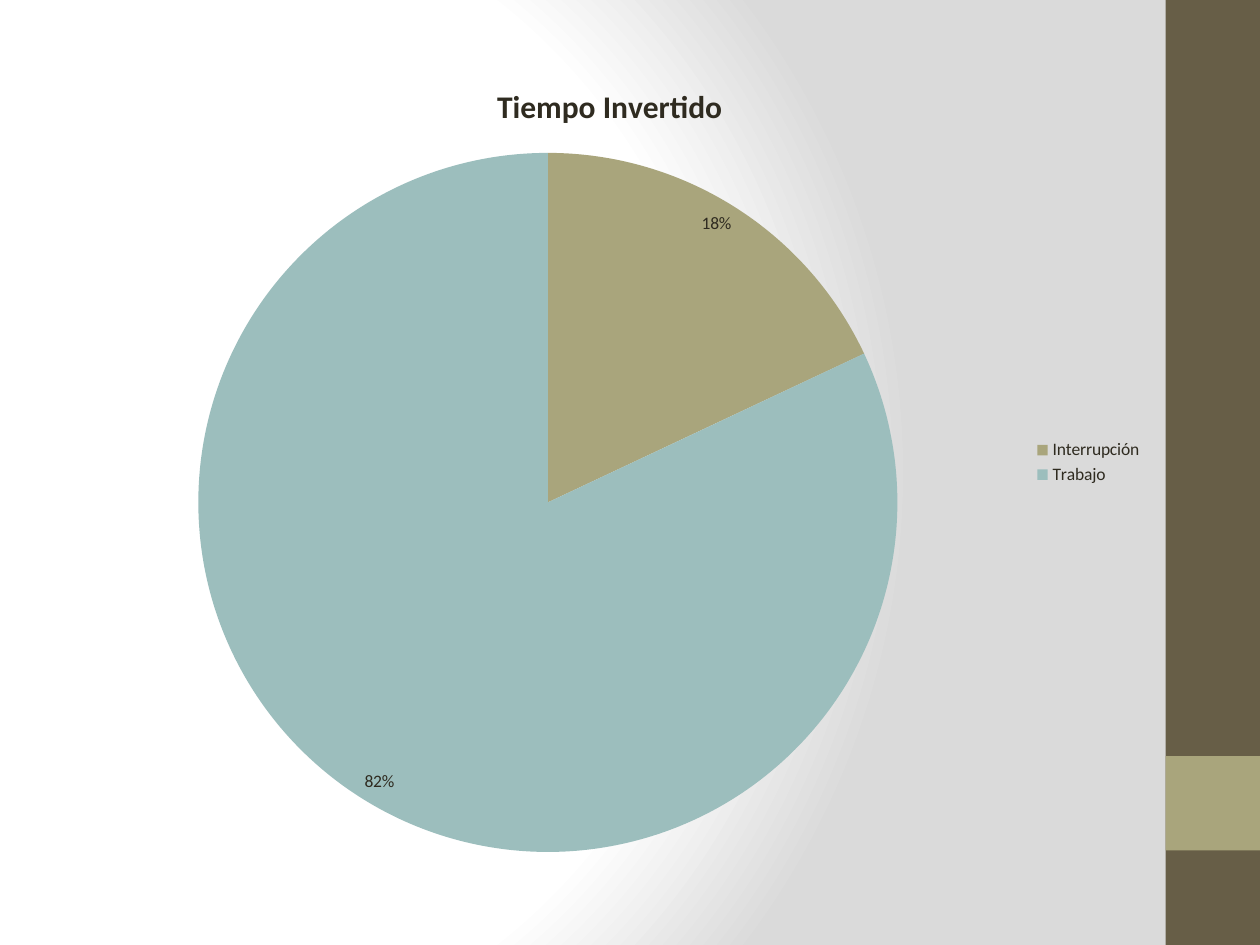
from lxml import etree
from pptx import Presentation
from pptx.chart.data import CategoryChartData
from pptx.dml.color import RGBColor
from pptx.enum.chart import XL_CHART_TYPE, XL_LABEL_POSITION, XL_LEGEND_POSITION
from pptx.enum.shapes import MSO_SHAPE
from pptx.util import Inches, Pt

RECT = MSO_SHAPE.RECTANGLE
PIE = XL_CHART_TYPE.PIE
RIGHT = XL_LEGEND_POSITION.RIGHT
INSIDE = XL_LABEL_POSITION.INSIDE_END
FONT = "Calibri"
COLORS = {
    "text": "2F2B20",
    "band": "675E47",
    "olive": "A9A57C",
    "teal": "9CBEBD",
    "white": "FFFFFF",
    "gray": "DADADA",
}
NS = "http://schemas.openxmlformats.org/drawingml/2006/main"


def rgb(name):
    return RGBColor.from_string(COLORS[name])


def style(font, size, bold=False):
    font.name = FONT
    font.size = Pt(size)
    font.bold = bold
    font.color.rgb = rgb("text")


prs = Presentation()
prs.slide_width = Inches(10)
prs.slide_height = Inches(7.5)
slide = prs.slides.add_slide(prs.slide_layouts[6])

# Radial background
back = slide.background.fill
back.gradient()
stops = "".join(
    f'<a:gs pos="{pos * 1000}"><a:srgbClr val="{COLORS[name]}"/></a:gs>'
    for pos, name in [(0, "white"), (75, "white"), (100, "gray")]
)
grad = etree.fromstring(
    f'<a:gradFill xmlns:a="{NS}" rotWithShape="1"><a:gsLst>{stops}</a:gsLst>'
    '<a:path path="circle">'
    '<a:fillToRect l="20000" t="50000" r="100000" b="50000"/>'
    "</a:path></a:gradFill>"
)
old = next(slide.background._cSld.iter(f"{{{NS}}}gradFill"))
old.getparent().replace(old, grad)

# Side band with its accent square
for top, height, name in [(0, 7.5, "band"), (6, 0.75, "olive")]:
    bar = slide.shapes.add_shape(
        RECT, Inches(9.25), Inches(top), Inches(0.75), Inches(height)
    )
    bar.shadow.inherit = False
    bar.fill.solid()
    bar.fill.fore_color.rgb = rgb(name)
    bar.line.fill.background()

# Pie chart
data = CategoryChartData()
data.categories = ["Interrupción", "Trabajo"]
data.add_series("Series 1", [18, 82])
chart = slide.shapes.add_chart(
    PIE, Inches(0.51), Inches(0.44), Inches(8.66), Inches(6.46), data
).chart
style(chart.font, 10)

chart.has_title = True
title = chart.chart_title
title.include_in_layout = False
title.text_frame.text = "Tiempo Invertido"
style(title.text_frame.paragraphs[0].runs[0].font, 18, True)

chart.has_legend = True
chart.legend.position = RIGHT
chart.legend.include_in_layout = False

plot = chart.plots[0]
plot.vary_by_categories = True
for i, name in enumerate(["olive", "teal"]):
    fill = plot.series[0].points[i].format.fill
    fill.solid()
    fill.fore_color.rgb = rgb(name)

plot.has_data_labels = True
labels = plot.data_labels
labels.show_value = False
labels.show_percentage = True
labels.number_format = "0%"
labels.number_format_is_linked = False
labels.position = INSIDE
style(labels.font, 10)

prs.save("out.pptx")
